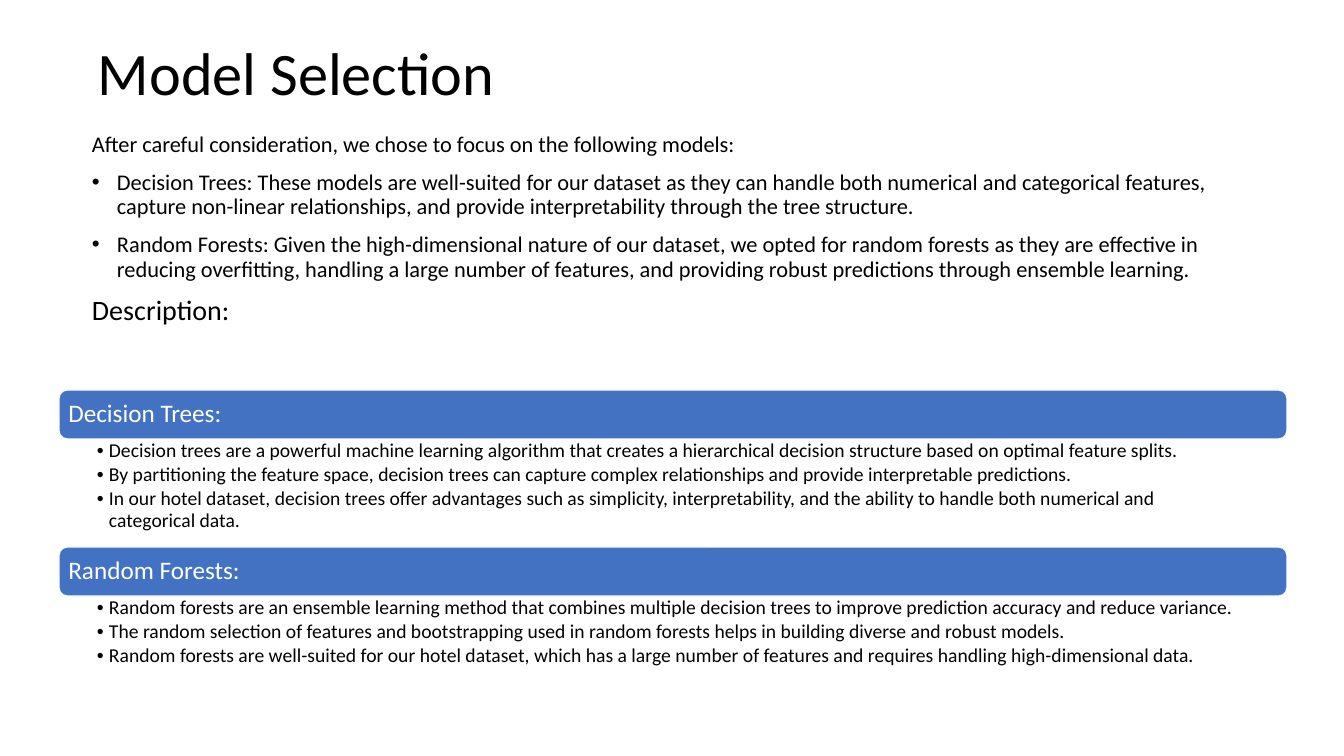
from lxml.etree import SubElement
from pptx import Presentation
from pptx.dml.color import RGBColor
from pptx.enum.shapes import MSO_SHAPE
from pptx.enum.text import MSO_ANCHOR, MSO_AUTO_SIZE, PP_ALIGN
from pptx.oxml.ns import qn
from pptx.util import Pt

PX = 914400 / 100.8
COLORS = {"text": "000000", "bar": "4372C3", "white": "FFFFFF"}
FONT = "Calibri"

INTRO = [
    "After careful consideration, we chose to focus on the following models:",
    "Decision Trees: These models are well-suited for our dataset as they can handle both numerical and categorical features, capture non-linear relationships, and provide interpretability through the tree structure.",
    "Random Forests: Given the high-dimensional nature of our dataset, we opted for random forests as they are effective in reducing overfitting, handling a large number of features, and providing robust predictions through ensemble learning.",
    "Description:",
]
# Heading, list width in px, list items
MODELS = [
    ("Decision Trees:", 1143, [
        "Decision trees are a powerful machine learning algorithm that creates a hierarchical decision structure based on optimal feature splits.",
        "By partitioning the feature space, decision trees can capture complex relationships and provide interpretable predictions.",
        "In our hotel dataset, decision trees offer advantages such as simplicity, interpretability, and the ability to handle both numerical and categorical data.",
    ]),
    ("Random Forests:", 1179, [
        "Random forests are an ensemble learning method that combines multiple decision trees to improve prediction accuracy and reduce variance.",
        "The random selection of features and bootstrapping used in random forests helps in building diverse and robust models.",
        "Random forests are well-suited for our hotel dataset, which has a large number of features and requires handling high-dimensional data.",
    ]),
]


def px(n):
    return round(n * PX)


def rgb(name):
    return RGBColor.from_string(COLORS[name])


def set_all(obj, values):
    for name, value in values.items():
        setattr(obj, name, value)


def place(sp, left, top, width, height):
    set_all(sp, {"left": px(left), "top": px(top), "width": px(width), "height": px(height)})


def set_frame(tf, inset, anchor=MSO_ANCHOR.TOP):
    set_all(tf, {"word_wrap": True, "auto_size": MSO_AUTO_SIZE.NONE, "vertical_anchor": anchor,
                 "margin_left": px(inset), "margin_right": px(inset),
                 "margin_top": px(inset), "margin_bottom": px(inset)})


def set_bullet(p, hang):
    """Hang a bullet by the given px, or remove the bullet when it is 0."""
    pPr = p._p.get_or_add_pPr()
    pPr.set("marL", str(px(hang)))
    pPr.set("indent", str(-px(hang)))
    if not hang:
        SubElement(pPr, qn("a:buNone"))
        return
    clr = SubElement(pPr, qn("a:buClr"))
    SubElement(clr, qn("a:srgbClr"), val=COLORS["text"])
    SubElement(pPr, qn("a:buFont"), typeface="Arial")
    SubElement(pPr, qn("a:buChar"), char="•")


def add_text(tf, text, size, color="text", hang=0, before=0):
    first = not tf.paragraphs[0].runs
    p = tf.paragraphs[0] if first else tf.add_paragraph()
    set_bullet(p, hang)
    set_all(p, {"alignment": PP_ALIGN.LEFT, "line_spacing": 0.9,
                "space_before": Pt(0 if first else before), "space_after": Pt(0)})
    r = p.add_run()
    r.text = text
    set_all(r.font, {"name": FONT, "size": Pt(size)})
    r.font.color.rgb = rgb(color)


def add_bar(s, top, heading):
    sp = s.shapes.add_shape(MSO_SHAPE.ROUNDED_RECTANGLE, px(59), px(top), px(1228), px(49))
    sp.shadow.inherit = False
    sp.fill.solid()
    sp.fill.fore_color.rgb = rgb("bar")
    sp.line.color.rgb = rgb("white")
    sp.line.width = Pt(1)
    set_frame(sp.text_frame, 7, MSO_ANCHOR.MIDDLE)
    add_text(sp.text_frame, heading, 18, "white")


def add_list(s, top, width, items):
    tf = s.shapes.add_textbox(px(95), px(top), px(width), px(106)).text_frame
    set_frame(tf, 2)
    for item in items:
        add_text(tf, item, 14, hang=12, before=2)


def main():
    prs = Presentation()
    set_all(prs, {"slide_width": px(1344), "slide_height": px(756)})
    s = prs.slides.add_slide(prs.slide_layouts[1])

    # Title
    title = s.shapes.title
    place(title, 93, 38, 1159, 146)
    set_frame(title.text_frame, 5)
    add_text(title.text_frame, "Model Selection", 43.1)

    # Introduction: bullets between two plain lines
    body = s.placeholders[1]
    place(body, 87, 128, 1171, 522)
    set_frame(body.text_frame, 5)
    for text, size, hang in zip(INTRO, (16, 16, 16, 20), (0, 25, 25, 0)):
        add_text(body.text_frame, text, size, hang=hang, before=10)

    # Model sections
    for i, (heading, width, items) in enumerate(MODELS):
        top = 390 + i * 157
        add_bar(s, top, heading)
        add_list(s, top + 49, width, items)

    prs.save("out.pptx")


if __name__ == "__main__":
    main()
